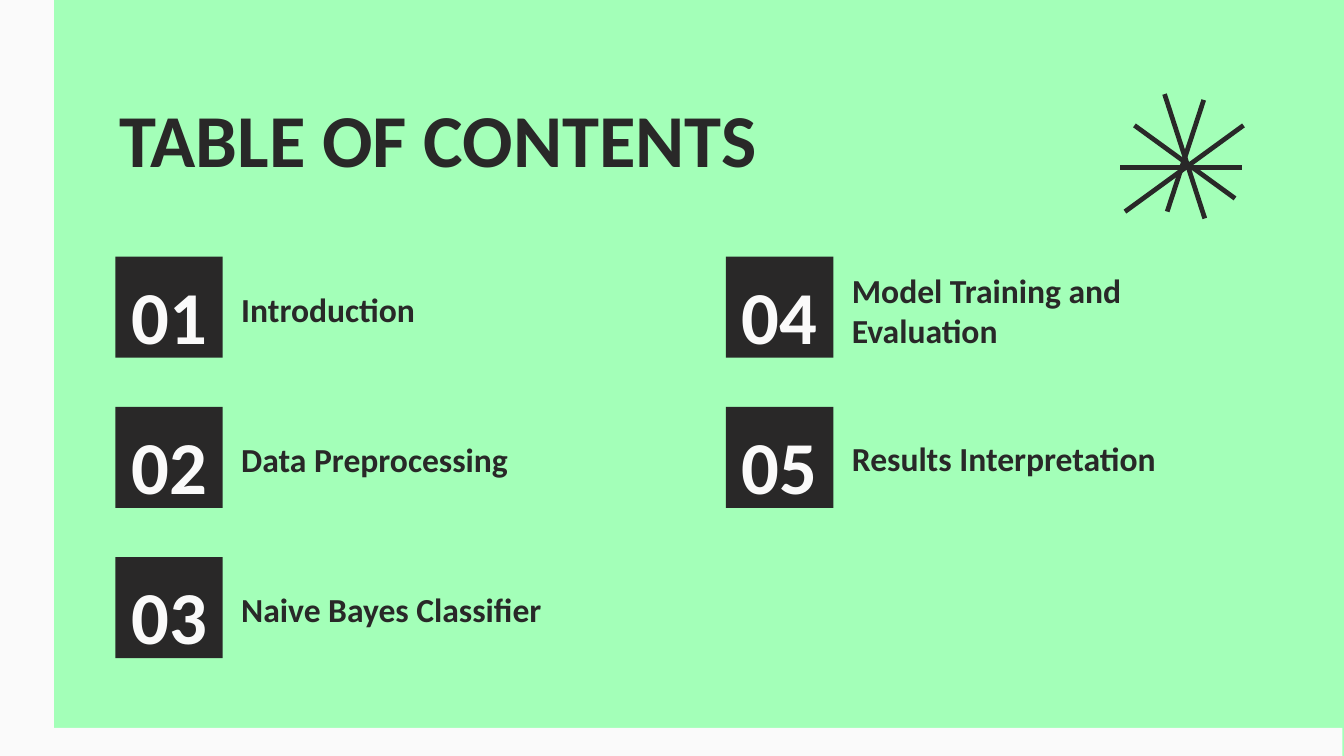
from math import hypot

from pptx import Presentation
from pptx.dml.color import RGBColor
from pptx.enum.shapes import MSO_SHAPE
from pptx.enum.text import MSO_ANCHOR, MSO_AUTO_SIZE, PP_ALIGN
from pptx.util import Cm, Pt

GREEN = RGBColor(0xA3, 0xFF, 0xB8)
DARK = RGBColor(0x29, 0x28, 0x28)
LIGHT = RGBColor(0xFA, 0xFA, 0xFA)

# Contents grid, in centimetres
GRID_LEFT, GRID_TOP = 2.18, 4.85
COLUMN_STEP, ROW_STEP = 11.54, 2.84
ROWS = 3
BOX_WIDTH, BOX_HEIGHT = 2.03, 1.91
LABEL_OFFSET, LABEL_WIDTH = 2.13, 7.37

# Each label with its drop below the top of its number box
TOPICS = [
    ("Introduction", 0.36),
    ("Data Preprocessing", 0.36),
    ("Naive Bayes Classifier", 0.36),
    ("Model Training and Evaluation", 0),
    ("Results Interpretation", 0.33),
]

# Star rays: both ends of each centre line, in centimetres
RAY_THICKNESS = 0.09
RAYS = [
    ((22.75, 1.89), (22.06, 4.0)),
    ((21.44, 2.37), (23.34, 3.75)),
    ((23.5, 2.37), (21.26, 4.0)),
    ((22.01, 1.78), (22.77, 4.13)),
    ((21.16, 3.16), (23.47, 3.16)),
]


def paint(shape, color):
    shape.shadow.inherit = False
    shape.fill.solid()
    shape.fill.fore_color.rgb = color
    shape.line.fill.background()


def add_block(slide, left, top, width, height, color):
    shape = slide.shapes.add_shape(
        MSO_SHAPE.RECTANGLE, Cm(left), Cm(top), Cm(width), Cm(height))
    paint(shape, color)
    return shape


def write_text(shape, text, size, color, alignment=PP_ALIGN.LEFT):
    frame = shape.text_frame
    frame_format = {
        "word_wrap": True,
        "auto_size": MSO_AUTO_SIZE.NONE,
        "vertical_anchor": MSO_ANCHOR.TOP,
        "margin_left": Cm(0.25),
        "margin_right": Cm(0.25),
        "margin_top": Cm(0.25),
        "margin_bottom": Cm(0.25),
    }
    for name, value in frame_format.items():
        setattr(frame, name, value)
    paragraph = frame.paragraphs[0]
    paragraph.alignment = alignment
    run = paragraph.add_run()
    run.text = text
    font_format = {"name": "Calibri", "size": Pt(size), "bold": True}
    for name, value in font_format.items():
        setattr(run.font, name, value)
    run.font.color.rgb = color


def add_title(slide, text):
    title = slide.shapes.title
    position = {"left": 2.01, "top": 1.5, "width": 21.41, "height": 1.6}
    for name, value in position.items():
        setattr(title, name, Cm(value))
    write_text(title, text, 40, DARK)


def add_topic(slide, index, label, drop):
    column, row = divmod(index, ROWS)
    left = GRID_LEFT + column * COLUMN_STEP
    top = GRID_TOP + row * ROW_STEP
    box = add_block(slide, left, top, BOX_WIDTH, BOX_HEIGHT, DARK)
    write_text(box, f"{index + 1:02d}", 40, LIGHT, PP_ALIGN.CENTER)
    label_box = slide.shapes.add_textbox(
        Cm(left + LABEL_OFFSET), Cm(top + drop),
        Cm(LABEL_WIDTH), Cm(BOX_HEIGHT - drop))
    write_text(label_box, label, 18, DARK)


def add_ray(slide, start, end):
    (x1, y1), (x2, y2) = start, end
    half = RAY_THICKNESS / 2 / hypot(x2 - x1, y2 - y1)
    dx, dy = (y1 - y2) * half, (x2 - x1) * half
    corners = [(x1 + dx, y1 + dy), (x2 + dx, y2 + dy),
               (x2 - dx, y2 - dy), (x1 - dx, y1 - dy)]
    points = [(Cm(x), Cm(y)) for x, y in corners]
    builder = slide.shapes.build_freeform(*points[0])
    builder.add_line_segments(points[1:], close=True)
    paint(builder.convert_to_shape(), DARK)


def main():
    presentation = Presentation()
    presentation.slide_width, presentation.slide_height = Cm(25.4), Cm(14.29)
    slide = presentation.slides.add_slide(presentation.slide_layouts[5])

    # Background and light border
    slide.background.fill.solid()
    slide.background.fill.fore_color.rgb = GREEN
    add_block(slide, -0.03, 13.76, 25.4, 0.53, LIGHT)
    add_block(slide, 0, 0, 1.02, 14.29, LIGHT)

    # Title and contents
    add_title(slide, "TABLE OF CONTENTS")
    for index, (label, drop) in enumerate(TOPICS):
        add_topic(slide, index, label, drop)

    # Star
    for start, end in RAYS:
        add_ray(slide, start, end)

    presentation.save("out.pptx")


if __name__ == "__main__":
    main()
